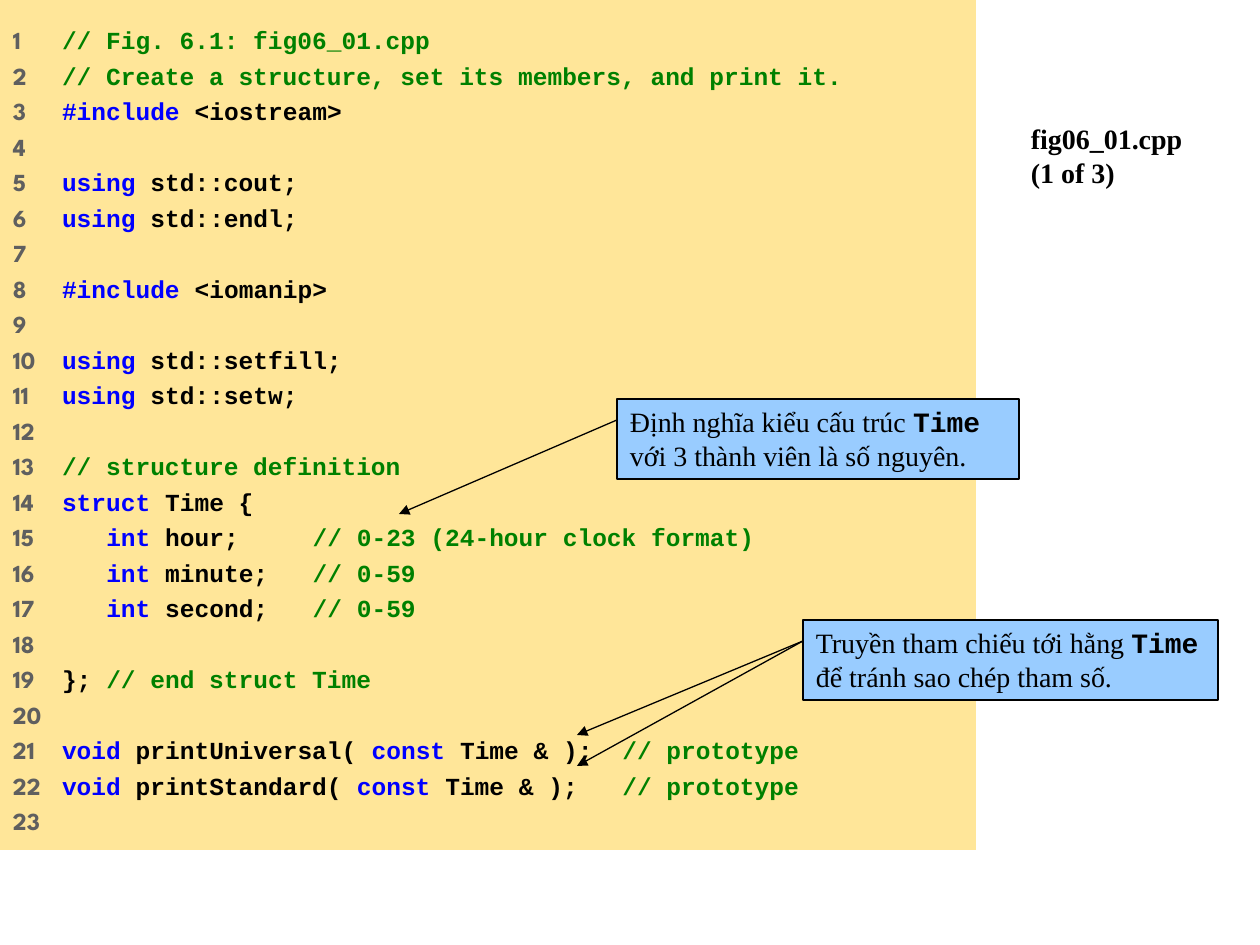
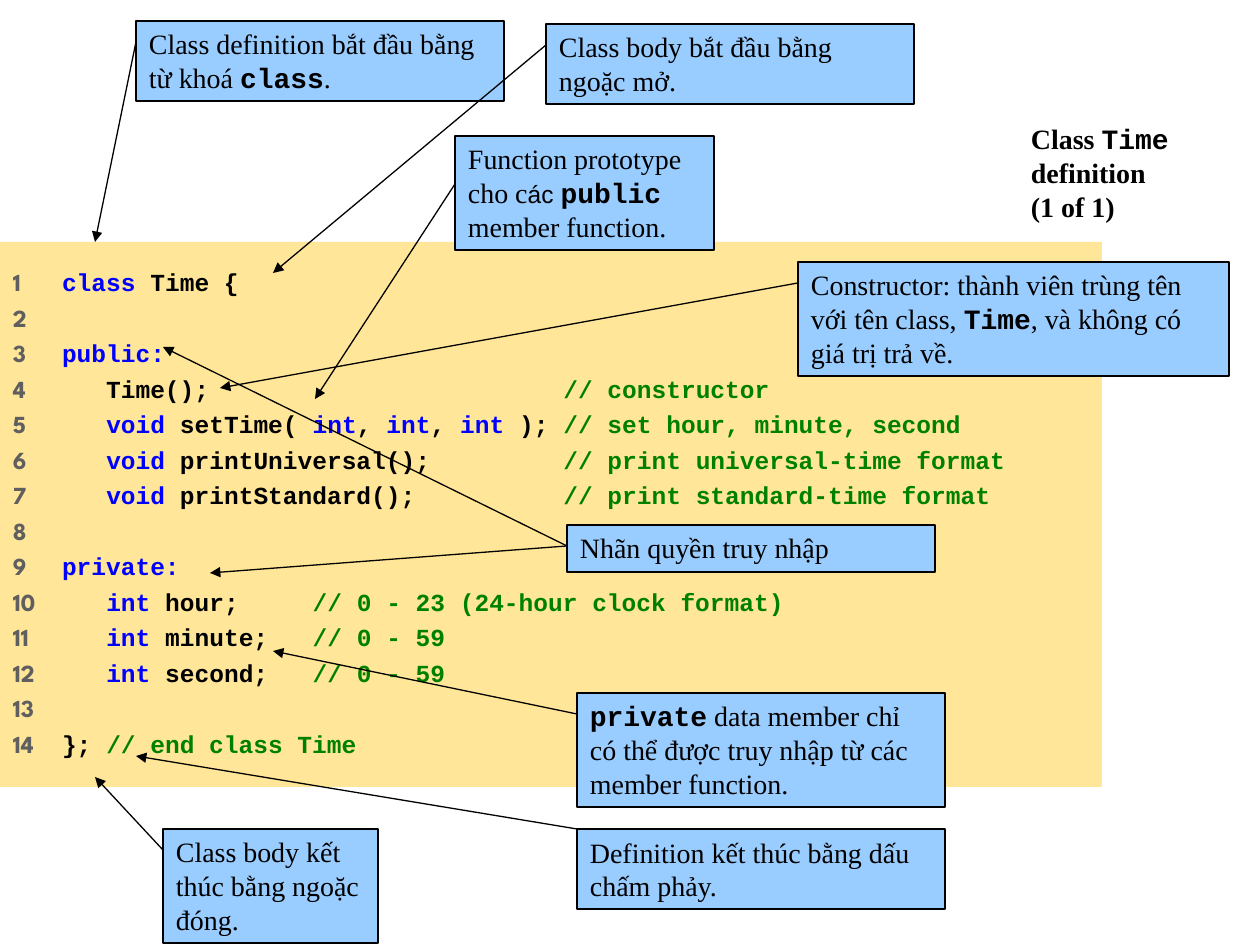
from dataclasses import dataclass

from lxml import etree
from pptx import Presentation
from pptx import util as u
from pptx.dml.color import RGBColor
from pptx.enum import shapes, text
from pptx.oxml.ns import qn

PX = u.Inches(1) / 126


@dataclass(frozen=True)
class Theme:
    ink: str = "000000"
    gutter: str = "5F5F5F"
    keyword: str = "0000FF"
    comment: str = "008000"
    panel: str = "FFE699"
    callout: str = "99CCFF"
    serif: str = "Times New Roman"
    mono: str = "Courier New"
    numbers: str = "League Spartan"
    sans: str = "Arial"
    large: int = 16
    small: int = 14
    line_width: float = 0.75
    line_gap: float = 3.5


THEME = Theme()

TITLE_FONT = dict(name=THEME.serif, size=THEME.large, bold=True, color=THEME.ink)
CALLOUT_FONT = dict(name=THEME.serif, size=THEME.large, bold=False, color=THEME.ink)
CODE_FONT = dict(name=THEME.mono, size=THEME.small, bold=True, color=THEME.ink)

# The first character of a piece between bars selects its style.
PROSE_MARKS = {
    "`": dict(name=THEME.mono, bold=True),
    "~": dict(name=THEME.sans, size=THEME.small),
}
CODE_MARKS = {
    "`": dict(color=THEME.keyword),
    "^": dict(color=THEME.comment),
    "@": dict(name=THEME.numbers, color=THEME.gutter),
}

# Callout: box (left, top, width, height), markup, arrow start below box top, arrow ends
SLIDES = [
    dict(
        title=["fig06_01.cpp", "(1 of 3)"],
        panel=(0, 0, 976, 850),
        code=[
            "^// Fig. 6.1: fig06_01.cpp",
            "^// Create a structure, set its members, and print it.",
            "`#include| <iostream>",
            "",
            "`using| std::cout;",
            "`using| std::endl;",
            "",
            "`#include| <iomanip>",
            "",
            "`using| std::setfill;",
            "`using| std::setw;",
            "",
            "^// structure definition",
            "`struct| Time {",
            "   |`int| hour;     |^// 0-23 (24-hour clock format)",
            "   |`int| minute;   |^// 0-59",
            "   |`int| second;   |^// 0-59",
            "",
            "}; |^// end struct Time",
            "",
            "`void| printUniversal( |`const| Time & );  |^// prototype",
            "`void| printStandard( |`const| Time & );   |^// prototype",
            "",
        ],
        callouts=[
            ((617, 399, 402, 80),
             "Định nghĩa kiểu cấu trúc |`Time| với 3 thành viên là số nguyên.",
             21, [(399, 514)]),
            ((803, 620, 415, 80),
             "Truyền tham chiếu tới hằng |`Time| để tránh sao chép tham số.",
             21, [(577, 735), (577, 766)]),
        ],
    ),
    dict(
        title=["Class |`Time| definition", "(1 of 1)"],
        panel=(0, 242, 1102, 545),
        code=[
            "`class| Time {",
            "",
            "`public:",
            "   Time();                        |^// constructor",
            "   |`void| setTime( |`int|, |`int|, |`int| ); |^// set hour, minute, second",
            "   |`void| printUniversal();         |^// print universal-time format",
            "   |`void| printStandard();          |^// print standard-time format",
            "",
            "`private:",
            "   |`int| hour;     |^// 0 - 23 (24-hour clock format)",
            "   |`int| minute;   |^// 0 - 59",
            "   |`int| second;   |^// 0 - 59",
            "",
            "}; |^// end class Time",
        ],
        callouts=[
            ((567, 525, 368, 47), "Nhãn quyền truy nhập",
             21, [(210, 573), (163, 347)]),
            ((136, 21, 368, 80), "Class definition bắt đầu bằng từ khoá |`class|.",
             21, [(95, 242)]),
            ((546, 24, 368, 80), "Class body bắt đầu bằng ngoặc mở.",
             21, [(273, 273)]),
            ((163, 829, 215, 114), "Class body kết thúc bằng ngoặc đóng.",
             21, [(95, 777)]),
            ((577, 829, 368, 80), "Definition kết thúc bằng dấu chấm phảy.",
             0, [(136, 756)]),
            ((455, 136, 259, 114),
             "Function prototype cho c|~ác| |`public| member function.",
             48, [(315, 399)]),
            ((577, 693, 368, 114),
             "`private| data member chỉ có thể được truy nhập từ các member function.",
             21, [(273, 651)]),
            ((798, 262, 431, 114),
             "Constructor: thành viên trùng tên với tên class, |`Time|, và không có giá trị trả về.",
             21, [(220, 388)]),
        ],
    ),
]


def px(*lengths):
    return [u.Emu(round(length * PX)) for length in lengths]


def write_lines(frame, lines, base, marks, margins=(13, 6)):
    """Write one paragraph per line, styling the pieces that start with a mark."""
    frame.word_wrap = True
    frame.auto_size = text.MSO_AUTO_SIZE.NONE
    frame.vertical_anchor = text.MSO_ANCHOR.TOP
    frame.margin_left, frame.margin_top = px(*margins)
    frame.margin_right, frame.margin_bottom = px(*margins)
    for index, line in enumerate(lines):
        paragraph = frame.add_paragraph() if index else frame.paragraphs[0]
        paragraph.alignment = text.PP_ALIGN.LEFT
        targets = [(paragraph.font, base)]
        for piece in line.split("|"):
            style = marks.get(piece[:1])
            run = paragraph.add_run()
            run.text = piece[1:] if style else piece
            targets.append((run.font, style or {}))
        for font, style in targets:
            for key, value in style.items():
                if key == "color":
                    font.color.rgb = RGBColor.from_string(value)
                else:
                    setattr(font, key, u.Pt(value) if key == "size" else value)


presentation = Presentation()
presentation.slide_width, presentation.slide_height = px(1260, 945)

for content in SLIDES:
    slide = presentation.slides.add_slide(presentation.slide_layouts[6])

    title = slide.shapes.add_textbox(*px(1018, 116, 242, 661))
    write_lines(title.text_frame, content["title"], TITLE_FONT, PROSE_MARKS)

    panel = slide.shapes.add_shape(shapes.MSO_SHAPE.RECTANGLE, *px(*content["panel"]))
    panel.shadow.inherit = False
    panel.fill.solid()
    panel.fill.fore_color.rgb = RGBColor.from_string(THEME.panel)
    panel.line.fill.background()
    numbered = [f"@{number}\t|{line}" if line else f"@{number}"
                for number, line in enumerate(content["code"], 1)]
    write_lines(panel.text_frame, numbered, CODE_FONT, CODE_MARKS, margins=(13, 25))
    for paragraph in panel.text_frame.paragraphs:
        paragraph.space_before = u.Pt(THEME.line_gap)
        tabs = etree.Element(qn("a:tabLst"))
        etree.SubElement(tabs, qn("a:tab"), pos=str(px(49)[0]), algn="l")
        paragraph.font._element.addprevious(tabs)

    for box, markup, drop, targets in content["callouts"]:
        group = slide.shapes.add_group_shape()
        callout = group.shapes.add_shape(shapes.MSO_SHAPE.RECTANGLE, *px(*box))
        callout.shadow.inherit = False
        callout.fill.solid()
        callout.fill.fore_color.rgb = RGBColor.from_string(THEME.callout)
        callout.line.color.rgb = RGBColor.from_string(THEME.ink)
        callout.line.width = u.Pt(THEME.line_width)
        write_lines(callout.text_frame, [markup], CALLOUT_FONT, PROSE_MARKS)
        left, top = box[:2]
        for target in targets:
            arrow = group.shapes.add_connector(
                shapes.MSO_CONNECTOR.STRAIGHT, *px(left, top + drop, *target))
            arrow.line.color.rgb = RGBColor.from_string(THEME.ink)
            arrow.line.width = u.Pt(THEME.line_width)
            etree.SubElement(arrow.line._get_or_add_ln(), qn("a:tailEnd"), type="triangle")
            etree.SubElement(arrow._element.spPr, qn("a:effectLst"))

presentation.save("out.pptx")
